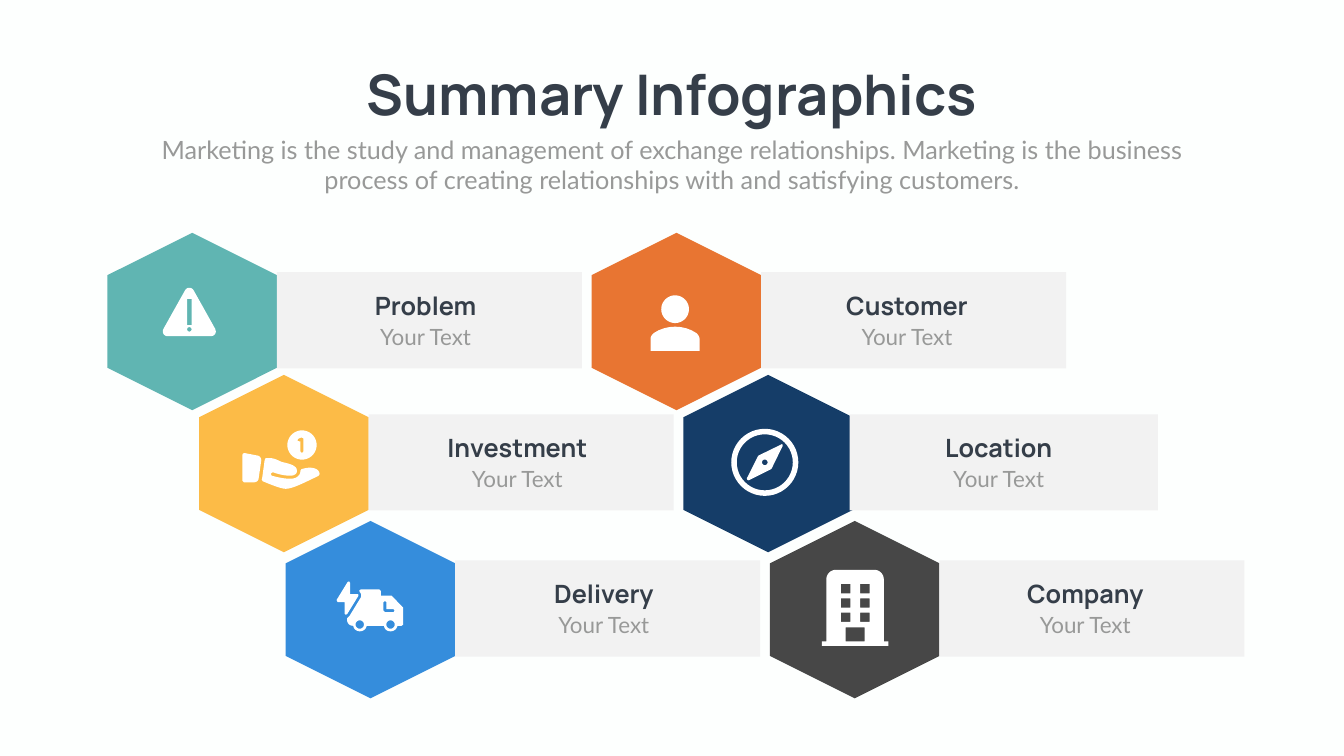
from dataclasses import dataclass
from math import cos, pi, sin

from pptx import Presentation
from pptx.dml.color import RGBColor
from pptx.enum.shapes import MSO_SHAPE as Shape
from pptx.enum.text import MSO_ANCHOR as Anchor, PP_ALIGN as Align
from pptx.util import Pt


@dataclass(frozen=True)
class Theme:
    background: str = "FDFFFE"
    ink: str = "353E49"
    muted: str = "989998"
    bar: str = "F2F2F2"
    icon: str = "FFFFFF"
    heading_font: str = "Manrope"
    body_font: str = "Lato"
    title_size: int = 80
    heading_size: int = 36
    caption_size: int = 32


THEME = Theme()
HEX_WIDTH, HEX_HEIGHT = 242, 253.4
BAR_TOP, BAR_WIDTH, BAR_HEIGHT = 56.2, 435.6, 137.5


# Icon outlines, in points from the top left corner of the hexagon.
# A pair is a corner; six numbers are a Bezier curve.
def circle(x, y, radius, steps=48):
    angles = [2 * pi * step / steps for step in range(steps)]
    return [(x + radius * cos(a), y + radius * sin(a)) for a in angles]


def box(left, top, width, height):
    return [(left, top), (left + width, top),
            (left + width, top + height), (left, top + height)]


WARNING = [[
    [(154.1, 137.5), (133.2, 100.1), (123.1, 82.1),
     (121.7, 79.9, 119.5, 78.5, 116.6, 78.5),
     (114.5, 78.5, 112.3, 79.9, 110.9, 82.1), (100.8, 100.1), (79.9, 137.5),
     (79.2, 139, 79.2, 139.7, 79.2, 141.1),
     (79.2, 144.7, 82.1, 147.6, 85.7, 147.6), (147.6, 147.6),
     (152, 147.6, 154.8, 144.7, 154.8, 141.1),
     (154.8, 139.7, 154.1, 139, 154.1, 137.5)],
    circle(117, 137.9, 3.2), box(113.8, 94.3, 6.4, 37.5),
]]
PERSON = [
    [circle(119.2, 109.1, 19.8)],
    [[(88.6, 143.3), (106.6, 131, 131.8, 131, 149.8, 143.3),
      (151.9, 145.4, 154.1, 148.3, 154.1, 151.2), (154.1, 168.5),
      (84.2, 168.5), (84.2, 151.2), (84.2, 148.3, 86.4, 145.4, 88.6, 143.3)]],
]
COIN_HAND = [
    # Coin with its numeral
    [circle(146.9, 100.1, 20.9),
     [(141.1, 91.4), (146.2, 89.3), (149, 90.7), (149, 109.4), (146.9, 111.6),
      (144.7, 109.4), (144.7, 95), (143.3, 95), (140.4, 94.3)]],
    # Cuff
    [[(83.5, 115.2), (64.8, 111.6), (62.6, 112.3), (61.9, 113.8),
      (61.9, 151.2), (64.1, 153.4), (78.5, 153.4),
      (82.1, 153.4, 85, 150.5, 85, 147.6), (88.6, 123.1),
      (89.3, 119.5, 87.1, 115.9, 83.5, 115.2)]],
    # Hand
    [[(158.4, 132.5), (155.5, 132.5, 150.5, 133.2, 146.2, 134.6),
      (144.7, 136.8), (144.7, 140.4, 143.3, 143.3, 140.4, 145.4),
      (137.5, 147.6, 133.9, 148.3, 129.6, 148.3),
      (123.1, 148.3, 114.5, 146.9, 103.7, 144), (102.2, 141.1), (105.1, 139),
      (115.2, 142.6, 123.8, 144, 129.6, 144),
      (134.6, 144, 136.1, 142.6, 137.5, 141.8),
      (139, 141.1, 139.7, 139, 139.7, 136.1),
      (139, 129.6, 130.3, 127.4, 122.4, 125.3),
      (118.1, 124.6, 115.2, 123.1, 112.3, 121.7),
      (108.7, 120.2, 105.1, 118.8, 100.8, 118.8), (95, 118.8), (93.6, 121.7),
      (90, 147.6), (89.3, 149), (90.7, 151.9),
      (101.5, 156.2, 116.6, 162.7, 123.8, 162.7),
      (133.2, 162.7, 151.2, 153.4, 163.4, 147.6), (170.6, 144),
      (172.1, 141.8), (172.1, 136.1, 166.3, 132.5, 158.4, 132.5)]],
]
COMPASS = [
    [circle(116.3, 124.9, 47.9), circle(116.3, 124.9, 40)],
    [[(139.7, 99.4), (107.3, 115.2), (106.6, 116), (90.7, 147.6),
      (90.7, 150, 92.2, 150.5, 93.6, 150.5), (125.3, 134.6), (126, 133.9),
      (141.8, 101.5), (142, 99, 141, 98.5, 139.7, 99.4)],
     circle(116.3, 124.9, 4)],
]
TRUCK = [
    # Lightning bolt
    [[(103.7, 105.1), (102.2, 104.4), (92.2, 104.4), (92.2, 88.6),
      (90.7, 86.4), (88.6, 87.1), (72.7, 113), (74.2, 115.9), (84.2, 115.9),
      (84.2, 132.5), (85.7, 133.9), (87.8, 133.2), (103.7, 107.3)]],
    # Truck body, wheels and window
    [[(167, 123.1), (151.2, 106.6), (136.1, 106.6), (136.1, 100.1),
      (133.9, 97.9), (107.3, 97.9), (105.1, 99.4), (105.8, 101.5),
      (107.3, 103.7), (108, 105.1, 108, 107.3, 107.3, 109.4), (91.4, 135.4),
      (89.3, 137.5), (87.8, 139), (87.8, 141.8),
      (87.8, 146.2, 91.4, 149.8, 95.8, 149.8), (96.5, 149.8),
      (97.2, 154.8, 101.5, 157.7, 105.8, 157.7),
      (110.9, 157.7, 114.5, 154.8, 115.9, 149.8), (140.4, 149.8),
      (141.1, 154.8, 144.7, 157.7, 149.8, 157.7),
      (154.8, 157.7, 158.4, 154.8, 159.8, 149.8), (165.6, 149.8),
      (167.8, 148.3), (167.8, 123.8)],
     circle(105.8, 148, 6), circle(149.8, 148, 6),
     [(139.7, 115.9), (141.8, 114.5), (144, 115.9), (144, 126), (154.1, 126),
      (155.5, 128.2), (154.1, 130.3), (141.8, 130.3), (139.7, 128.2)]],
]
WINDOWS = [box(x, 90 + 20.5 * row, 13.4, 13.4)
           for x in (101.5, 128.9) for row in range(3)]
BUILDING = [[
    [(162.7, 172), (162.7, 83.5), (162.7, 75.6, 156.2, 69.8, 149, 69.8),
     (94.3, 69.8), (87.1, 69.8, 80.6, 75.6, 80.6, 83.5), (80.6, 172),
     (74.2, 172), (74.2, 178.6), (169.2, 178.6), (169.2, 172)],
    *WINDOWS, box(108, 152, 27.4, 20),
]]

# Left, top and label offset of each column; step of each row
COLUMNS = [(153.4, 332.6, 310), (845, 332.6, 306)]
ROWS = [(0, 0), (131, 203), (254.6, 411.6)]
# Heading, colour, icon, overlap of the bar on the hexagon
ITEMS = [
    [("Problem", "60B5B2", WARNING, 0), ("Investment", "FCBB47", COIN_HAND, 0),
     ("Delivery", "358DDC", TRUCK, 0)],
    [("Customer", "E87532", PERSON, 0), ("Location", "153D68", COMPASS, 4.4),
     ("Company", "474747", BUILDING, 0)],
]


def paint(shape, color):
    shape.shadow.inherit = False
    shape.fill.solid()
    shape.fill.fore_color.rgb = RGBColor.from_string(color)
    shape.line.fill.background()


def write(shape, text, font_name, size, color, bold=False, wrap=True):
    frame = shape.text_frame
    frame.word_wrap = wrap
    frame.vertical_anchor = Anchor.TOP
    paragraph = frame.paragraphs[0]
    paragraph.text = text
    paragraph.alignment = Align.CENTER
    font = paragraph.font
    font.name, font.size, font.bold = font_name, Pt(size), bold
    font.color.rgb = RGBColor.from_string(color)


def add_text(slide, left, top, width, height, *style, **options):
    shape = slide.shapes.add_textbox(Pt(left), Pt(top), Pt(width), Pt(height))
    write(shape, *style, **options)


def flatten(contour, steps=8):
    """Turn the curves of a contour into short straight lines."""
    points = []
    for part in contour:
        if len(part) == 2:
            points.append(part)
            continue
        nodes = [points[-1], part[:2], part[2:4], part[4:]]
        for step in range(1, steps + 1):
            t = step / steps
            weights = ((1 - t) ** 3, 3 * t * (1 - t) ** 2, 3 * t * t * (1 - t), t ** 3)
            points.append(tuple(sum(w * node[axis] for w, node in zip(weights, nodes))
                                for axis in (0, 1)))
    return points


def add_icon(slide, left, top, icon):
    unit = 100  # drawing units in a point
    for contours in icon:
        builder = None
        for contour in contours:
            points = [(x * unit, y * unit) for x, y in flatten(contour)]
            if builder is None:
                builder = slide.shapes.build_freeform(*points[0], scale=Pt(1) / unit)
            else:
                builder.move_to(*points[0])
            builder.add_line_segments(points[1:], close=True)
        paint(builder.convert_to_shape(Pt(left), Pt(top)), THEME.icon)


def add_header(slide, left, top, width):
    title = slide.shapes.title
    title.left, title.top, title.width, title.height = Pt(left), Pt(top), Pt(width), Pt(104.4)
    write(title, "Summary Infographics", THEME.heading_font, THEME.title_size,
          THEME.ink, bold=True, wrap=False)
    add_text(slide, left, top + 105.8, width, 94.3,
             "Marketing is the study and management of exchange relationships. "
             "Marketing is the business process of creating relationships with "
             "and satisfying customers.",
             THEME.body_font, THEME.heading_size, THEME.muted)


def add_item(slide, left, top, label_left, heading, color, icon, overlap):
    # The hexagon stands on its point: a flat one turned about its centre
    shift = (HEX_HEIGHT - HEX_WIDTH) / 2
    hexagon = slide.shapes.add_shape(Shape.HEXAGON, Pt(left - shift), Pt(top + shift),
                                     Pt(HEX_HEIGHT), Pt(HEX_WIDTH))
    hexagon.rotation = 90
    paint(hexagon, color)
    bar = slide.shapes.add_shape(Shape.RECTANGLE, Pt(left + HEX_WIDTH - overlap),
                                 Pt(top + BAR_TOP), Pt(BAR_WIDTH + overlap), Pt(BAR_HEIGHT))
    paint(bar, THEME.bar)
    add_text(slide, left + label_left, top + 78.5, 288.7, 51, heading,
             THEME.heading_font, THEME.heading_size, THEME.ink, bold=True)
    add_text(slide, left + label_left, top + 125, 288.7, 46, "Your Text",
             THEME.body_font, THEME.caption_size, THEME.muted)
    add_icon(slide, left, top, icon)


def main():
    presentation = Presentation()
    presentation.slide_width, presentation.slide_height = Pt(1919.52), Pt(1080)
    slide = presentation.slides.add_slide(presentation.slide_layouts[5])
    slide.background.fill.solid()
    slide.background.fill.fore_color.rgb = RGBColor.from_string(THEME.background)
    add_header(slide, 210.2, 82.1, 1499)
    for (left, top, label_left), items in zip(COLUMNS, ITEMS):
        for (across, down), item in zip(ROWS, items):
            add_item(slide, left + across, top + down, label_left, *item)
    presentation.save("out.pptx")


if __name__ == "__main__":
    main()
